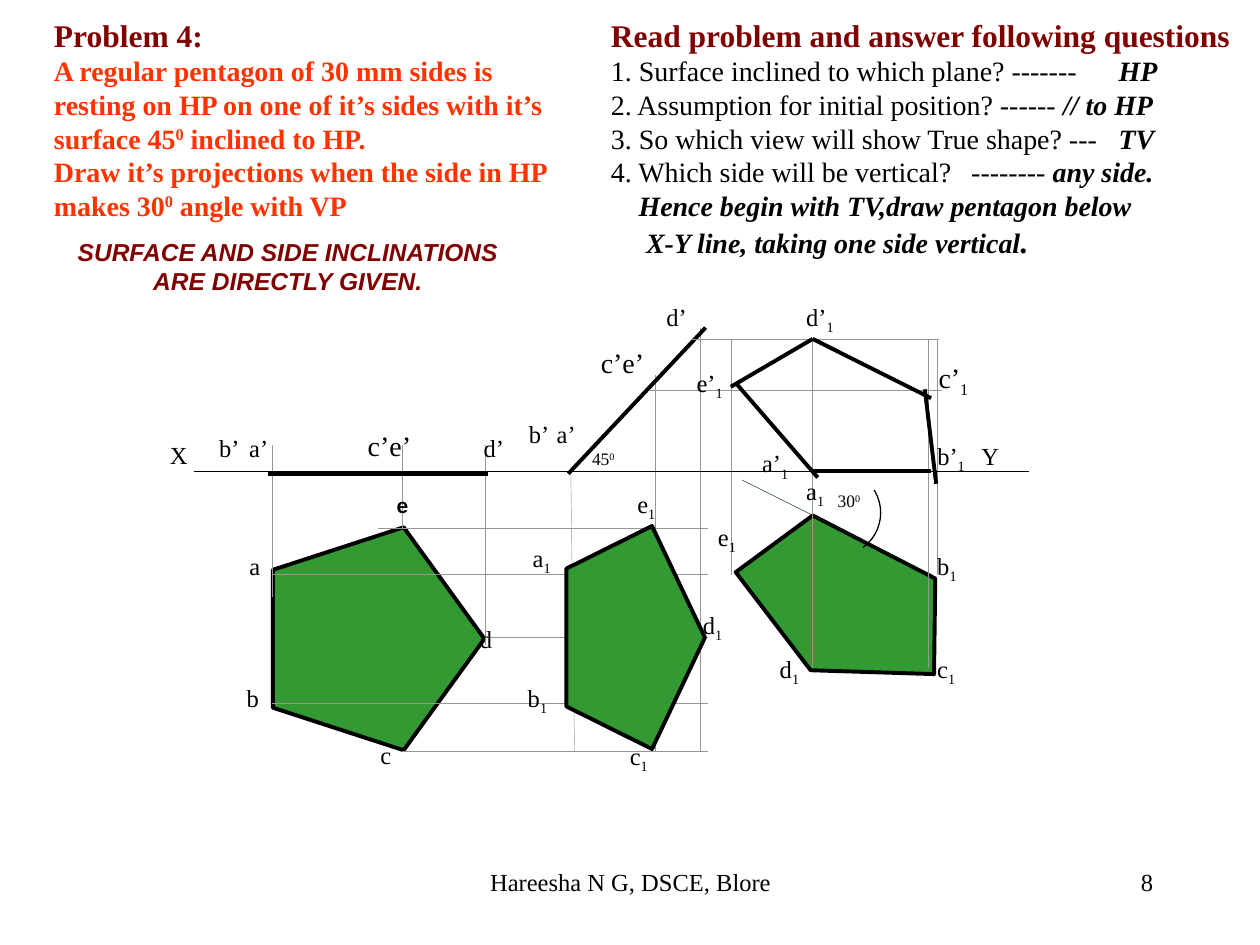
import pptx
import pptx.util
import pptx.dml.color
import pptx.enum.shapes
import pptx.enum.text
import pptx.oxml
import pptx.oxml.ns

Inches = pptx.util.Inches
Pt = pptx.util.Pt
SHAPES = pptx.enum.shapes.MSO_SHAPE
ALIGN = pptx.enum.text.PP_ALIGN

COLORS = {"maroon": "800000", "orange": "FF3300", "black": "000000",
          "green": "339933", "grey": "969696", "dark_green": "003300"}
SERIF, SANS = "Times New Roman", "Arial"

STYLES = {
    "heading": ({"name": SERIF, "size": Pt(18), "bold": True}, "maroon", 0),
    "problem": ({"name": SERIF, "size": Pt(16), "bold": True}, "orange", 0),
    "degree": ({"name": SERIF, "size": Pt(16), "bold": True}, "orange", 30),
    "question": ({"name": SERIF, "size": Pt(16), "bold": False}, "black", 0),
    "answer": ({"name": SERIF, "size": Pt(16), "bold": True, "italic": True}, "black", 0),
    "stop": ({"name": SERIF, "size": Pt(18), "bold": True, "italic": True}, "black", 0),
    "remark": ({"name": SANS, "size": Pt(14), "bold": True, "italic": True}, "maroon", 0),
    "corner": ({"name": SANS, "size": Pt(12), "bold": True}, "black", 0),
    "footer": ({"name": SERIF, "size": Pt(14)}, "black", 0),
}

QUESTIONS = [
    ({}, [("Read problem and answer following questions", "heading")]),
    ({"tab": 4.03}, [("1. Surface inclined to which plane? -------\t", "question"), ("HP", "answer")]),
    ({}, [("2. Assumption for initial position? ------ ", "question"), ("// to HP", "answer")]),
    ({"tab": 4.03}, [("3. So which view will show True shape? ---\t", "question"), ("TV", "answer")]),
    ({"tab": 2.86}, [("4. Which side will be vertical?\t-------- ", "question"), ("any side.", "answer")]),
    ({"indent": 0.22}, [("Hence begin with TV,draw pentagon below", "answer")]),
    ({"indent": 0.28}, [("X-Y line, taking one side vertical", "answer"), (".", "stop")]),
]
PROBLEM = [
    ({}, [("Problem 4:", "heading")]),
    ({}, [("A regular pentagon of 30 mm sides is resting on HP on one of it’s sides "
           "with it’s surface 45", "problem"), ("0", "degree"), (" inclined to HP.", "problem")]),
    ({}, [("Draw it’s projections when the side in HP makes 30", "problem"),
          ("0", "degree"), (" angle with VP", "problem")]),
]
CENTER, RIGHT = {"align": ALIGN.CENTER}, {"align": ALIGN.RIGHT}
REMARK = [(CENTER, [("SURFACE AND SIDE INCLINATIONS", "remark")]),
          (CENTER, [("ARE DIRECTLY GIVEN.", "remark")])]

TEXTS = [
    ((4.75, 0.08, 5.15, 2.04), QUESTIONS),
    ((0.33, 0.08, 4.33, 1.74), PROBLEM),
    ((0.5, 1.83, 3.57, 0.57), REMARK),
    ((3.05, 3.86, 0.35, 0.3), [({}, [("e", "corner")])]),
    ((7.17, 6.83, 2.08, 0.5), [(RIGHT, [("8", "footer")])]),
    ((3.42, 6.83, 3.17, 0.5), [(CENTER, [("Hareesha N G, DSCE, Blore", "footer")])]),
]

PENTAGONS = {"top": (2.12, 4.23, 1.77, 1.68, 90),
             "tilted": (4.16, 4.51, 1.77, 1.1, 90),
             "turned": (5.8, 4.28, 1.77, 1.1, 207.2)}

LINE_STYLES = {"guide": ("grey", 0.25), "side": ("dark_green", 0.25),
               "edge": ("black", 2.25), "axis": ("black", 0.75)}
LEFT_LINES = {
    "guide": [(2.16, 4.74, 2.16, 3.53), (3.19, 4.19, 3.19, 3.53), (3.85, 5.12, 3.85, 3.53),
              (5.56, 2.6, 5.56, 5.96), (5.2, 2.98, 5.2, 5.96), (4.53, 3.74, 4.56, 5.96)]
             + [(x, y, 5.62, y) for x, y in
                [(3, 4.19), (2.16, 4.56), (3.85, 5.06), (2.16, 5.58), (3.19, 5.96)]],
    "edge": [(2.13, 3.76, 3.87, 3.76), (4.51, 3.76, 5.6, 2.6)],
}
RIGHT_LINES = {
    "side": [(7.39, 4.56, 5.89, 3.81)],
    "guide": [(x, y, x, 2.69) for x, y in
              [(5.8, 4.56), (6.45, 5.3), (7.37, 5.3), (7.44, 4.56)]]
             + [(5.49, 2.69, 7.45, 2.69), (5.15, 3.1, 7.48, 3.1)],
    "edge": [(6.45, 2.69, 5.8, 3.07), (5.84, 3.04, 6.49, 3.79), (6.45, 3.74, 7.39, 3.74),
             (7.34, 3.09, 7.43, 3.84), (6.45, 2.69, 7.39, 3.16)],
    "axis": [(1.54, 3.74, 8.17, 3.74)],
}

PLAIN_LABELS = [
    ("a’", 1.88, 3.39), ("b’", 1.64, 3.39), ("d’", 3.74, 3.39), ("d", 3.71, 4.9),
    ("a", 1.88, 4.32), ("b", 1.86, 5.37), ("c", 2.92, 5.82), ("d’", 5.19, 2.35),
    ("a’", 4.32, 3.28), ("b’", 4.1, 3.28), ("X", 1.25, 3.44), ("Y", 7.69, 3.45),
]
INDEXED_LABELS = [
    ("b", 4.09, 5.37), ("c", 4.9, 5.83), ("d", 5.48, 4.79), ("b’", 7.34, 3.45),
    ("a", 4.13, 4.26), ("e’", 5.43, 2.87), ("d’", 6.3, 2.35), ("a", 6.3, 3.73),
    ("b", 7.34, 4.32), ("c", 7.34, 5.14), ("d", 6.09, 5.14), ("e", 5.6, 4.09),
    ("e", 4.96, 3.83), ("a’", 5.95, 3.51),
]
LARGE_LABELS = [("c’e’", 2.82, 3.35), ("c’e’", 4.67, 2.69)]
LARGE_INDEXED = [("c’", 7.35, 2.81)]
ANGLES = [("45", 4.6, 3.51), ("30", 6.55, 3.84)]
LABEL_GROUPS = [(PLAIN_LABELS, 14, "", 0), (INDEXED_LABELS, 14, "1", -25),
                (LARGE_LABELS, 16, "", 0), (LARGE_INDEXED, 16, "1", -25), (ANGLES, 10, "0", 30)]
EM_WIDTHS = {"a": 0.44, "c": 0.44, "e": 0.44, "’": 0.33, "X": 0.72, "Y": 0.72}


def color(name):
    return pptx.dml.color.RGBColor.from_string(COLORS[name])


def add_span(para, text, formats, tint, baseline):
    span = para.add_run()
    span.text = text
    for key, value in formats.items():
        setattr(span.font, key, value)
    span.font.color.rgb = color(tint)
    if baseline:
        span._r.get_or_add_rPr().set("baseline", str(baseline * 1000))


def add_box(page, place, wrap):
    box = page.shapes.add_textbox(*map(Inches, place))
    box.text_frame.word_wrap = wrap
    return box.text_frame


def add_text(page, place, paragraphs):
    frame = add_box(page, place, True)
    for number, (layout, spans) in enumerate(paragraphs):
        para = frame.add_paragraph() if number else frame.paragraphs[0]
        para.alignment = layout.get("align", ALIGN.LEFT)
        properties = para._p.get_or_add_pPr()
        if "indent" in layout:
            properties.set("marL", str(Inches(layout["indent"])))
            properties.set("indent", "0")
        if "tab" in layout:
            properties.append(pptx.oxml.parse_xml(
                f'<a:tabLst {pptx.oxml.ns.nsdecls("a")}>'
                f'<a:tab pos="{Inches(layout["tab"])}" algn="l"/></a:tabLst>'))
        for text, style in spans:
            add_span(para, text, *STYLES[style])


def add_label(page, text, left, top, size, index, baseline):
    ems = sum(EM_WIDTHS.get(letter, 0.5) for letter in text) + 0.33 * len(index)
    width = 0.2 + ems * size / 72
    height = 0.1 + 1.2 * size / 72 + (0.03 if baseline < 0 else 0)
    frame = add_box(page, (left, top, width, height), False)
    formats = {"name": SERIF, "size": Pt(size)}
    add_span(frame.paragraphs[0], text, formats, "black", 0)
    if index:
        add_span(frame.paragraphs[0], index, formats, "black", baseline)


def style_line(line, style):
    tint, width = LINE_STYLES[style]
    line.color.rgb = color(tint)
    line.width = Pt(width)


def add_lines(page, groups):
    for style, lines in groups.items():
        for ends in lines:
            line = page.shapes.add_connector(
                pptx.enum.shapes.MSO_CONNECTOR.STRAIGHT, *map(Inches, ends))
            style_line(line.line, style)
            line._element.spPr.append(pptx.oxml.parse_xml(
                f'<a:effectLst {pptx.oxml.ns.nsdecls("a")}/>'))


def add_pentagon(page, view):
    *place, turn = PENTAGONS[view]
    pentagon = page.shapes.add_shape(SHAPES.REGULAR_PENTAGON, *map(Inches, place))
    pentagon.rotation = turn
    pentagon.shadow.inherit = False
    pentagon.fill.solid()
    pentagon.fill.fore_color.rgb = color("green")
    style_line(pentagon.line, "edge")


def add_angle_arc(page, center_x, center_y, radius, start, end):
    arc = page.shapes.add_shape(SHAPES.ARC, *map(Inches, (
        center_x - radius, center_y - radius, 2 * radius, 2 * radius)))
    arc.shadow.inherit = False
    arc.fill.background()
    style_line(arc.line, "axis")
    for number, degrees in enumerate((start, end)):
        arc.adjustments[number] = degrees * 0.6


def main():
    deck = pptx.Presentation()
    deck.slide_width, deck.slide_height = Inches(10), Inches(7.5)
    page = deck.slides.add_slide(deck.slide_layouts[6])
    add_pentagon(page, "top")
    add_lines(page, LEFT_LINES)
    add_pentagon(page, "tilted")
    add_pentagon(page, "turned")
    add_lines(page, RIGHT_LINES)
    add_angle_arc(page, 6.65, 4.07, 0.34, 328, 54)
    for labels, size, index, baseline in LABEL_GROUPS:
        for text, left, top in labels:
            add_label(page, text, left, top, size, index, baseline)
    for place, paragraphs in TEXTS:
        add_text(page, place, paragraphs)
    deck.save("out.pptx")


if __name__ == "__main__":
    main()
